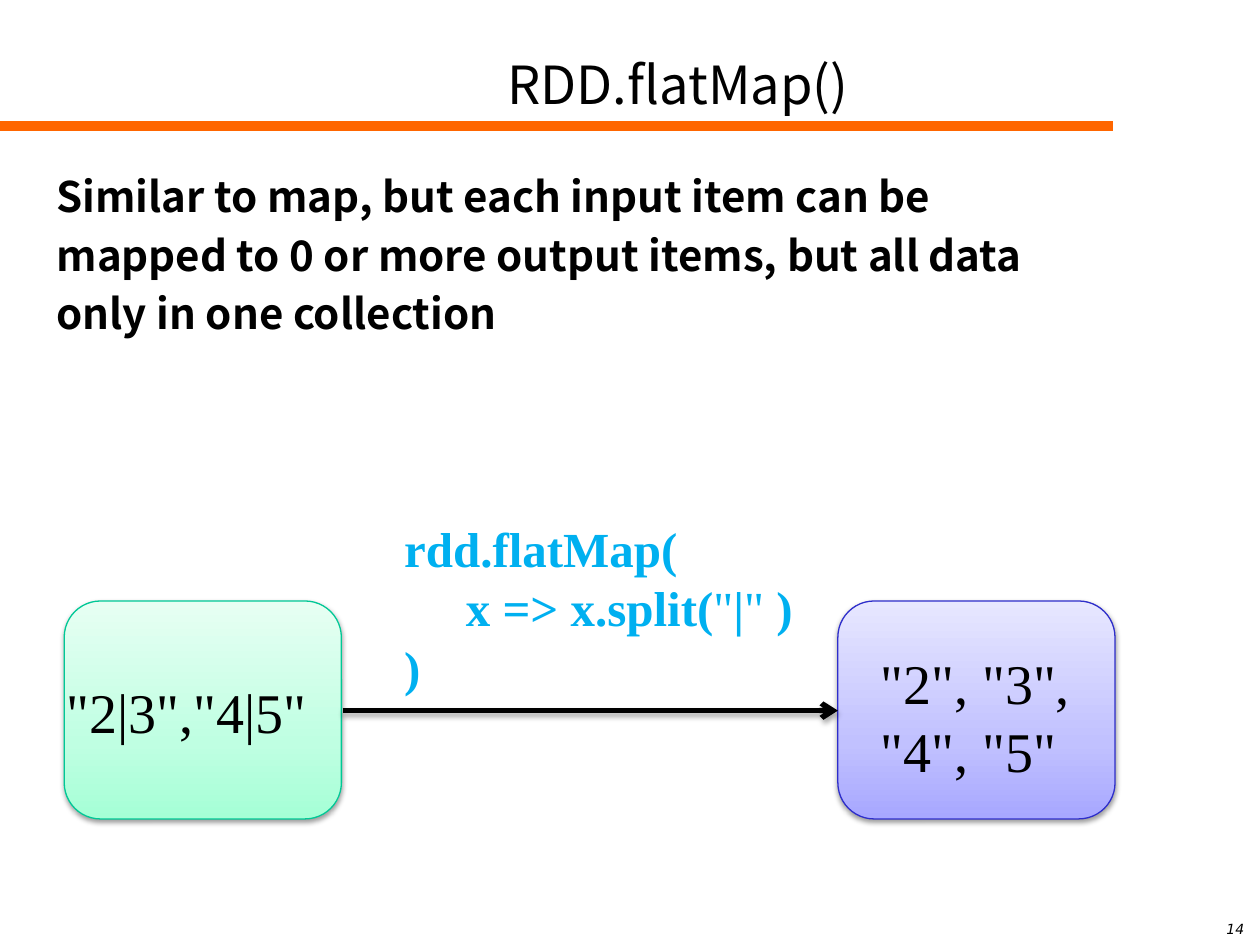
import pptx
import pptx.util
import pptx.oxml
import pptx.oxml.ns
import pptx.dml.color
import pptx.enum.text
import pptx.enum.shapes
from lxml import etree

Inches, Pt, qn = pptx.util.Inches, pptx.util.Pt, pptx.oxml.ns.qn
ALIGN, ANCHOR = pptx.enum.text.PP_ALIGN, pptx.enum.text.MSO_ANCHOR
HUES = {
    "ink": "000000", "bar": "FF6600", "code": "00B0F0",
    "mint": "00C896", "blue": "2E2ECB",
}
FADES = {
    "mint": ("A5FFD6", "BFFFE2", "E7FFF3"),
    "blue": ("A7A7FF", "C1C1FF", "E7E7FF"),
}
SANS, SERIF = "Noto Sans CJK SC", "Times New Roman"


class Deck:
    """Holds the style and the current slide."""

    def __init__(self):
        self.file = pptx.Presentation()
        self.file.slide_width, self.file.slide_height = Inches(10), Inches(7.5)
        self.slide = self.file.slides.add_slide(self.file.slide_layouts[5])
        self.shapes = self.slide.shapes

    def hue(self, name):
        return pptx.dml.color.RGBColor.from_string(HUES[name])

    def fill(self, frame, lines, size, font=SERIF, hue="ink", bold=False,
             italic=False, align=ALIGN.LEFT, pitch=None, gap=0, dents=()):
        frame.word_wrap = True
        for i, line in enumerate(lines):
            para = frame.paragraphs[0] if i == 0 else frame.add_paragraph()
            parts = [(line, bold)] if isinstance(line, str) else line
            for text, heavy in parts:
                run = para.add_run()
                run.text = text
                if len(parts) > 1:
                    run.font.bold = heavy
            para.font.size, para.font.name = Pt(size), font
            para.font.bold, para.font.italic = bold, italic
            para.font.color.rgb = self.hue(hue)
            para.alignment = align
            para.space_before = Pt(gap)
            if pitch:
                para.line_spacing = Pt(pitch)
            if dents:
                left, first = dents[i]
                props = para._p.get_or_add_pPr()
                props.set("marL", str(Inches(left)))
                props.set("indent", str(Inches(first)))

    def title(self, box, text):
        shape = self.shapes.title
        shape.left, shape.top, shape.width, shape.height = map(Inches, box)
        shape.text_frame.vertical_anchor = ANCHOR.MIDDLE
        self.fill(shape.text_frame, [text], 30, SANS, align=ALIGN.CENTER)

    def text(self, box, lines, size, anchor=ANCHOR.TOP, **style):
        frame = self.shapes.add_textbox(*map(Inches, box)).text_frame
        frame.vertical_anchor = anchor
        self.fill(frame, lines, size, **style)

    def shade(self, props, alpha, dist):
        list_ = props.find(qn("a:effectLst"))
        if list_ is None:
            list_ = etree.SubElement(props, qn("a:effectLst"))
        if alpha:
            cast = etree.SubElement(
                list_, qn("a:outerShdw"), blurRad=str(Pt(3.1)),
                dist=str(Pt(dist)), dir="5400000", rotWithShape="0")
            tone = etree.SubElement(cast, qn("a:srgbClr"), val=HUES["ink"])
            etree.SubElement(tone, qn("a:alpha"), val=str(alpha * 1000))

    def card(self, box, name):
        kind = pptx.enum.shapes.MSO_SHAPE.ROUNDED_RECTANGLE
        shape = self.shapes.add_shape(kind, *map(Inches, box))
        shape.fill.gradient()
        shape.fill.gradient_angle = 90
        props = shape._element.spPr
        stops = props.find(qn("a:gradFill")).find(qn("a:gsLst"))
        for stop in list(stops):
            stops.remove(stop)
        for spot, tone in zip((0, 35, 100), FADES[name]):
            stop = etree.SubElement(stops, qn("a:gs"), pos=str(spot * 1000))
            etree.SubElement(stop, qn("a:srgbClr"), val=tone)
        shape.line.color.rgb = self.hue(name)
        shape.line.width = Pt(0.75)
        shape.shadow.inherit = False
        self.shade(props, 38, 1.6)

    def line(self, ends, hue, width, head=False):
        kind = pptx.enum.shapes.MSO_CONNECTOR.STRAIGHT
        line = self.shapes.add_connector(kind, *map(Inches, ends))
        line.line.color.rgb = self.hue(hue)
        line.line.width = Pt(width)
        props = line._element.spPr
        if head:
            etree.SubElement(props.find(qn("a:ln")), qn("a:tailEnd"), type="arrow")
        self.shade(props, 35 if head else 0, 1.8)


deck = Deck()
deck.line((0, 1, 8.83, 1), "bar", 6)
deck.text((9.57, 7.21, 0.47, 0.32), ["14"], 8, ANCHOR.MIDDLE,
          font="DejaVu Sans", italic=True, align=ALIGN.CENTER)
deck.title((1.92, 0.33, 6.92, 0.67), "RDD.flatMap()")
deck.text((0.35, 1.31, 9.48, 5.11), [
    "Similar to map, but each input item can be",
    "mapped to 0 or more output items, but all data",
    "only in one collection",
], 24, font=SANS, bold=True, pitch=28.6, gap=4.8, dents=[(0.16, -0.16)] * 3)

for left, name in ((0.51, "mint"), (6.65, "blue")):
    deck.card((left, 4.77, 2.2, 1.73), name)
deck.line((2.72, 5.64, 6.65, 5.64), "ink", 3, head=True)

deck.text((0.43, 5.32, 2.68, 0.64), ['"2|3","4|5"'], 32, pitch=39)
deck.text((3.11, 4.06, 3.86, 1.51), [
    "rdd.flatMap(",
    [("x => x.split(", True), ('"', False), ("|", True), ('" ', False), (")", True)],
    ")",
], 28, hue="code", bold=True, pitch=34, dents=[(0, 0), (0.49, 0), (0, 0)])
deck.text((6.89, 5.09, 1.97, 1.18), ['"2", "3", "4", "5"'], 32, pitch=39)
deck.file.save("out.pptx")
